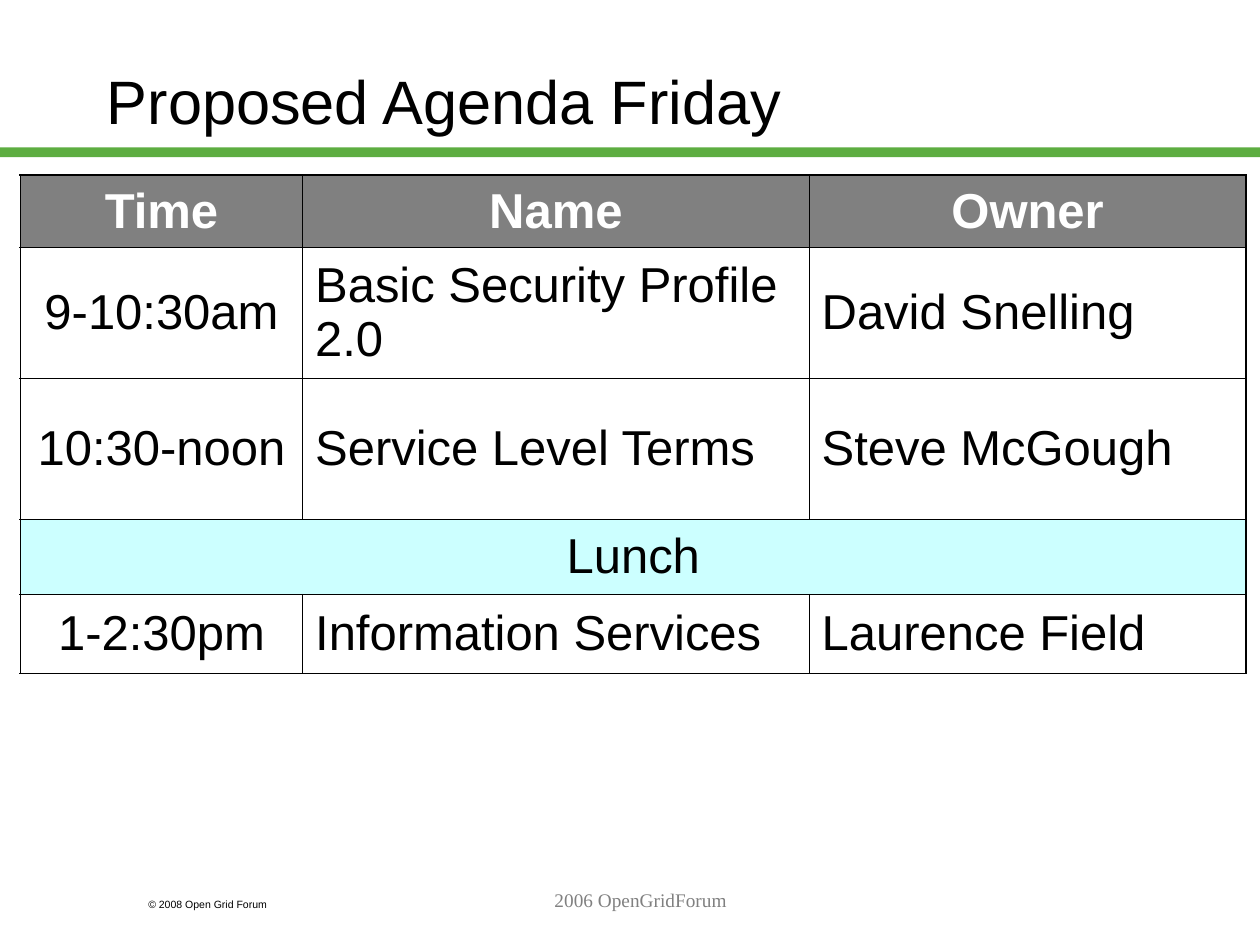
from lxml.etree import SubElement
from pptx import Presentation
from pptx.dml.color import RGBColor
from pptx.enum.shapes import MSO_SHAPE
from pptx.enum.text import MSO_ANCHOR, MSO_AUTO_SIZE, PP_ALIGN
from pptx.oxml import parse_xml
from pptx.oxml.ns import nsdecls, qn
from pptx.util import Cm, Pt

TITLE = "Proposed Agenda Friday"
COPYRIGHT = "© 2008 Open Grid Forum"
FOOTER = "2006 OpenGridForum"
AGENDA = [
    ("Time", "Name", "Owner"),
    ("9-10:30am", "Basic Security Profile 2.0", "David Snelling"),
    ("10:30-noon", "Service Level Terms", "Steve McGough"),
    ("Lunch",),
    ("1-2:30pm", "Information Services", "Laurence Field"),
]
COLUMN_WIDTHS = [5.69, 10.21, 8.81]
ROW_HEIGHTS = [1.45, 2.64, 2.84, 1.52, 1.6]

BLACK, WHITE, GREY = "000000", "FFFFFF", "808080"
GREEN, PALE_CYAN = "5DAD41", "CCFFFF"
OUTER, INNER = Pt(1.08), Pt(0.45)


def color(hex_value):
    return RGBColor.from_string(hex_value)


def write(frame, text, size, hex_value=BLACK, font="Arial", bold=False,
          align=PP_ALIGN.LEFT):
    paragraph = frame.paragraphs[0]
    paragraph.alignment = align
    run = paragraph.add_run()
    run.text = text
    run.font.size = Pt(size)
    run.font.name = font
    run.font.bold = bold
    run.font.color.rgb = color(hex_value)


def add_label(slide, box, text, size, **style):
    frame = slide.shapes.add_textbox(*map(Cm, box)).text_frame
    frame.word_wrap = True
    write(frame, text, size, **style)


def set_borders(cell, widths):
    """Draw black borders; widths are left, right, top, bottom."""
    properties = cell._tc.get_or_add_tcPr()
    for position, (side, width) in enumerate(zip("LRTB", widths)):
        line = parse_xml(f'<a:ln{side} {nsdecls("a")} w="{int(width)}"><a:solidFill>'
                         f'<a:srgbClr val="{BLACK}"/></a:solidFill></a:ln{side}>')
        properties.insert(position, line)


def add_agenda(slide):
    last_row, last_column = len(AGENDA) - 1, len(COLUMN_WIDTHS) - 1
    table = slide.shapes.add_table(
        len(AGENDA), len(COLUMN_WIDTHS), Cm(0.41), Cm(3.53),
        Cm(sum(COLUMN_WIDTHS)), Cm(sum(ROW_HEIGHTS))).table
    table.first_row = table.horz_banding = False
    for column, width in zip(table.columns, COLUMN_WIDTHS):
        column.width = Cm(width)
    for row, height in zip(table.rows, ROW_HEIGHTS):
        row.height = Cm(height)

    for r, entries in enumerate(AGENDA):
        header, whole_row = r == 0, len(entries) == 1
        if whole_row:
            table.cell(r, 0).merge(table.cell(r, last_column))
        for c in range(last_column + 1):
            cell = table.cell(r, c)
            if header or whole_row:
                cell.fill.solid()
                cell.fill.fore_color.rgb = color(GREY if header else PALE_CYAN)
            else:
                cell.fill.background()
            at_right = c == last_column or whole_row
            edges = (c == 0, at_right, header, r == last_row)
            set_borders(cell, [OUTER if edge else INNER for edge in edges])
            cell.vertical_anchor = MSO_ANCHOR.MIDDLE
            if c < len(entries):
                centred = header or c == 0
                write(cell.text_frame, entries[c], 28, WHITE if header else BLACK,
                      bold=header,
                      align=PP_ALIGN.CENTER if centred else PP_ALIGN.LEFT)


def main():
    prs = Presentation()
    prs.slide_width, prs.slide_height = Cm(25.4), Cm(19.05)
    slide = prs.slides.add_slide(prs.slide_layouts[5])

    rule = slide.shapes.add_shape(MSO_SHAPE.RECTANGLE, 0, Cm(2.97),
                                  prs.slide_width, Cm(0.2))
    rule.shadow.inherit = False
    rule.fill.solid()
    rule.fill.fore_color.rgb = color(GREEN)
    rule.line.fill.background()

    title = slide.shapes.title
    title.left, title.top, title.width, title.height = map(Cm, (1.9, 0.43, 21.59, 3.18))
    title.text_frame.auto_size = MSO_AUTO_SIZE.NONE
    title.text_frame.vertical_anchor = MSO_ANCHOR.MIDDLE
    write(title.text_frame, TITLE, 35)

    add_agenda(slide)
    add_label(slide, (2.74, 17.98, 3.81, 0.51), COPYRIGHT, 6)
    add_label(slide, (5.51, 17.78, 14.81, 1.27), FOOTER, 11, hex_value=GREY,
              font="Times New Roman", align=PP_ALIGN.CENTER)
    prs.save("out.pptx")


if __name__ == "__main__":
    main()
